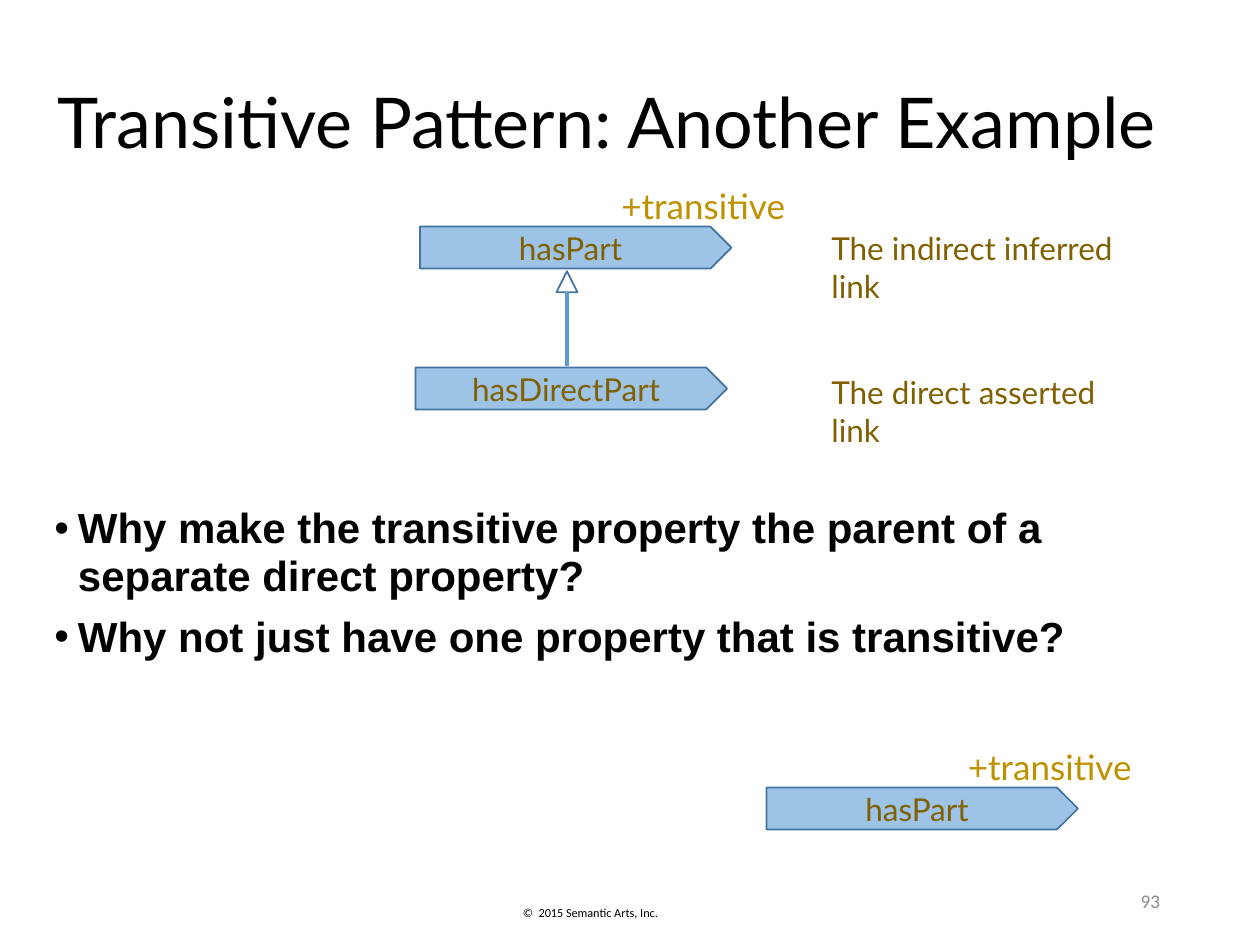
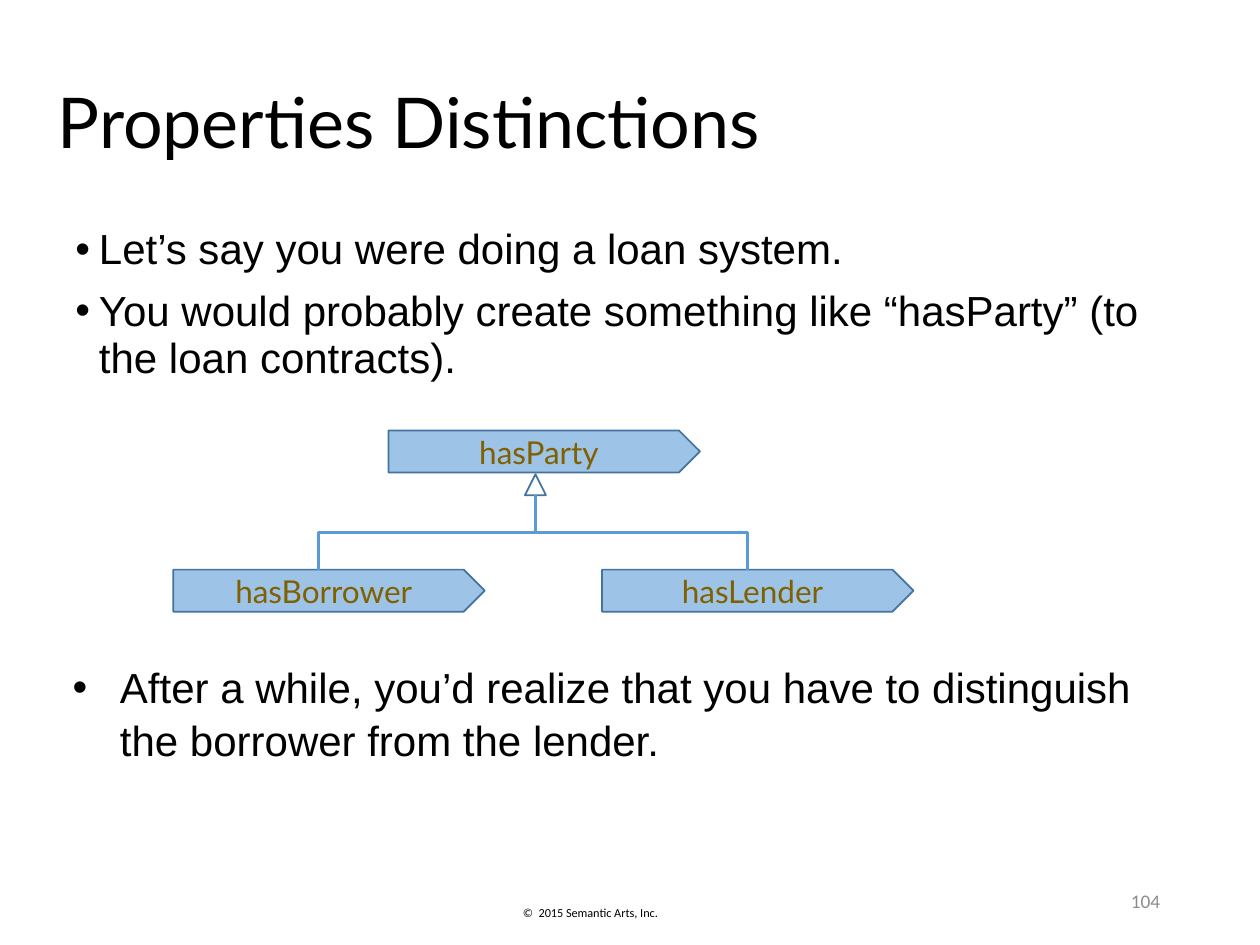
from dataclasses import dataclass

from lxml import etree
from pptx import Presentation
from pptx.dml.color import RGBColor
from pptx.enum.shapes import MSO_CONNECTOR as Connector, MSO_SHAPE as Shape
from pptx.enum.text import MSO_ANCHOR as Anchor, PP_ALIGN as Align
from pptx.oxml.ns import qn
from pptx.util import Pt


@dataclass(frozen=True)
class Theme:
    black: str = "000000"
    grey: str = "8C8C8C"
    brown: str = "806000"
    gold: str = "BF9000"
    arrow_fill: str = "9DC3E6"
    outline: str = "43739E"
    link: str = "5B9BD5"
    heading_font: str = "Lato"
    body_font: str = "Arial"
    footer_font: str = "Calibri"
    title_size: float = 40
    body_size: float = 24
    trait_size: float = 20
    label_size: float = 18
    number_size: float = 11
    footer_size: float = 7


PROPERTY_WIDTH, PROPERTY_HEIGHT = 178, 24
TRIANGLE = 12
# Middle of the flat top edge of a property arrow, from its left
PROPERTY_MIDDLE = (PROPERTY_WIDTH - PROPERTY_HEIGHT / 2) / 2


def color(value):
    return RGBColor.from_string(value)


class SlideBuilder:
    def __init__(self, deck, theme):
        self.deck = deck
        self.theme = theme
        self.page = None

    def start(self, title, number):
        """Add a page with its title, copyright line and number."""
        theme = self.theme
        self.page = self.deck.slides.add_slide(self.deck.slide_layouts[6])
        self.text((282, 511, 101, 18), "©  2015 Semantic Arts, Inc.", theme.footer_size,
                  theme.black, theme.footer_font, Align.RIGHT, Anchor.BOTTOM)
        self.text((26, 19, 665, 106), title, theme.title_size, theme.black,
                  anchor=Anchor.MIDDLE, spacing=0.9)
        self.text((508, 500.5, 162, 29), str(number), theme.number_size, theme.grey,
                  theme.footer_font, Align.RIGHT, Anchor.MIDDLE)

    def span(self, para, words, size, ink, font, bold=False):
        span = para.add_run()
        span.text = words
        span.font.size = Pt(size)
        span.font.name = font
        span.font.bold = bold
        span.font.color.rgb = color(ink)

    def frame(self, area, anchor=Anchor.TOP, wrap=True):
        box = self.page.shapes.add_textbox(*map(Pt, area))
        box.text_frame.word_wrap = wrap
        box.text_frame.vertical_anchor = anchor
        return box.text_frame

    def text(self, area, words, size, ink, font=None, align=Align.LEFT,
             anchor=Anchor.TOP, spacing=None, wrap=True):
        para = self.frame(area, anchor, wrap).paragraphs[0]
        para.alignment = align
        para.line_spacing = spacing
        self.span(para, words, size, ink, font or self.theme.heading_font)

    def bullets(self, area, items, bold=False, indent=13.5, spacing=0.95):
        frame = self.frame(area)
        for index, item in enumerate(items):
            para = frame.add_paragraph() if index else frame.paragraphs[0]
            para.line_spacing = spacing
            if index:
                para.space_before = Pt(7.5)
            settings = para._p.get_or_add_pPr()
            settings.set("marL", str(Pt(indent)))
            settings.set("indent", str(-Pt(indent)))
            etree.SubElement(settings, qn("a:buFont"), typeface=self.theme.body_font)
            etree.SubElement(settings, qn("a:buChar"), char="•")
            self.span(para, item, self.theme.body_size, self.theme.black,
                      self.theme.body_font, bold)

    def shape(self, kind, area, fill=None):
        shape = self.page.shapes.add_shape(kind, *map(Pt, area))
        shape.shadow.inherit = False
        if fill:
            shape.fill.solid()
            shape.fill.fore_color.rgb = color(fill)
        else:
            shape.fill.background()
        shape.line.color.rgb = color(self.theme.outline)
        shape.line.width = Pt(1)
        return shape

    def property(self, left, top, name):
        arrow = self.shape(Shape.PENTAGON, (left, top, PROPERTY_WIDTH, PROPERTY_HEIGHT),
                           self.theme.arrow_fill)
        arrow.text_frame.vertical_anchor = Anchor.MIDDLE
        para = arrow.text_frame.paragraphs[0]
        para.alignment = Align.CENTER
        self.span(para, name, self.theme.label_size, self.theme.brown,
                  self.theme.heading_font)

    def transitive_property(self, left, top, name):
        self.property(left, top, name)
        self.text((left + 108, top - 27.5, 108, 32), "+transitive",
                  self.theme.trait_size, self.theme.gold, wrap=False)

    def inheritance_head(self, middle, top):
        """Draw the open triangle and return the point below it."""
        self.shape(Shape.ISOSCELES_TRIANGLE,
                   (middle - TRIANGLE / 2, top, TRIANGLE, TRIANGLE))
        return middle, top + TRIANGLE

    def connector(self, kind, start, end):
        link = self.page.shapes.add_connector(kind, *map(Pt, (*start, *end)))
        link.line.color.rgb = color(self.theme.link)
        link.line.width = Pt(2)
        etree.SubElement(link._element.spPr, qn("a:effectLst"))
        return link

    def branch(self, start, end):
        """Draw an elbow that leaves downwards: a sideways elbow, turned."""
        (x1, y1), (x2, y2) = start, end
        middle_x, middle_y = (x1 + x2) / 2, (y1 + y2) / 2
        rightwards = x2 > x1
        half_drop = (y2 - y1) / 2 * (-1 if rightwards else 1)
        half_span = abs(x2 - x1) / 2
        link = self.connector(Connector.ELBOW,
                              (middle_x - half_drop, middle_y - half_span),
                              (middle_x + half_drop, middle_y + half_span))
        turn = 270 if rightwards else 90
        link._element.spPr.find(qn("a:xfrm")).set("rot", str(turn * 60000))


def transitive_pattern(builder):
    theme = builder.theme
    builder.start("Transitive Pattern: Another Example", 93)
    builder.bullets((24, 285, 648, 110), [
        "Why make the transitive property the parent of a separate direct property?",
        "Why not just have one property that is transitive?",
    ], bold=True)
    builder.property(237.5, 210, "hasDirectPart")
    builder.transitive_property(240, 129.5, "hasPart")
    middle, bottom = builder.inheritance_head(324, 155)
    builder.connector(Connector.STRAIGHT, (middle, bottom), (middle, 209))
    for top, width, words in ((209.5, 189, "The direct asserted link"),
                              (127.5, 195, "The indirect inferred link")):
        builder.text((468, top, width, 29), words, theme.label_size, theme.brown)
    builder.transitive_property(438, 450, "hasPart")


def properties_distinctions(builder):
    builder.start("Properties Distinctions", 104)
    builder.bullets((36, 126, 648, 96), [
        "Let’s say you were doing a loan system.",
        "You would probably create something like “hasParty” (to the loan contracts).",
    ])
    builder.property(222, 246, "hasParty")
    fork = builder.inheritance_head(306, 271)
    child_top = 325.5
    for left, name in ((344, "hasLender"), (99, "hasBorrower")):
        builder.property(left, child_top, name)
        builder.branch(fork, (left + PROPERTY_MIDDLE, child_top))
    builder.bullets((34.5, 373, 648, 96), [
        "After a while, you’d realize that you have to distinguish "
        "the borrower from the lender.",
    ], indent=27, spacing=1.05)


def main():
    deck = Presentation()
    deck.slide_width, deck.slide_height = Pt(720), Pt(540)
    builder = SlideBuilder(deck, Theme())
    transitive_pattern(builder)
    properties_distinctions(builder)
    deck.save("out.pptx")


if __name__ == "__main__":
    main()
